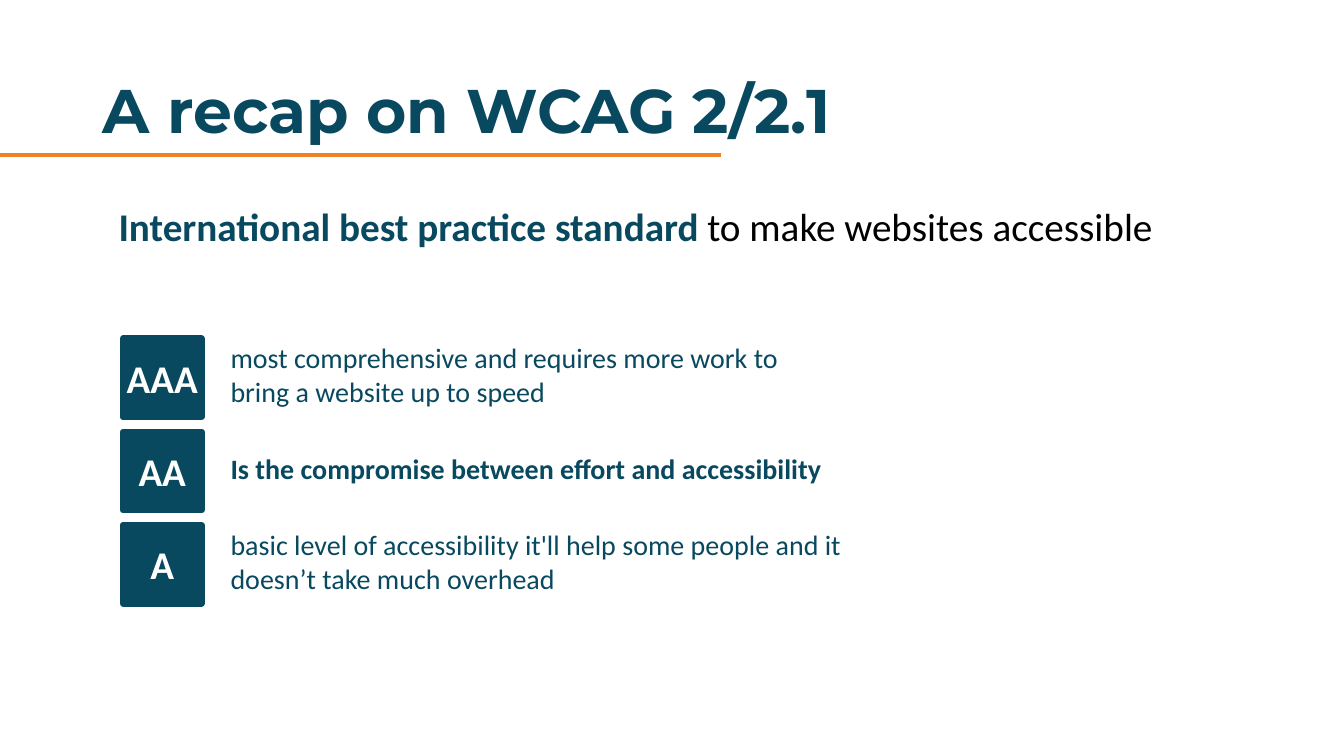
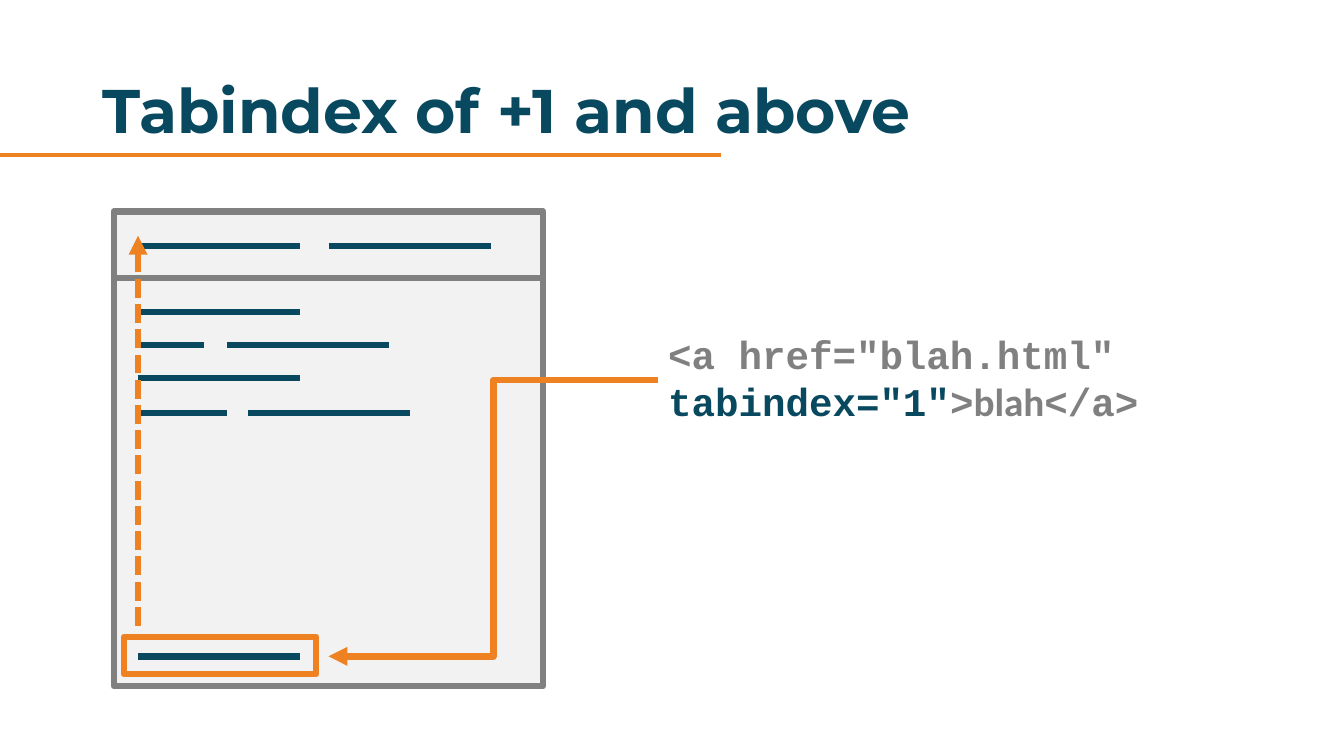
from lxml import etree
from pptx import Presentation
from pptx.dml.color import RGBColor
from pptx.enum.dml import MSO_LINE
from pptx.enum.shapes import MSO_CONNECTOR as Connector, MSO_SHAPE as Shape
from pptx.enum.text import MSO_ANCHOR as Anchor, PP_ALIGN as Align
from pptx.oxml.ns import qn
from pptx.util import Cm, Pt

COLORS = {
    "navy": "08495F",
    "orange": "EE8222",
    "gray": "808080",
    "pale": "F2F2F2",
    "white": "FFFFFF",
    "black": "000000",
}
TITLE_FONT, BODY_FONT, CODE_FONT = "Montserrat", "Calibri", "Courier New"
THICK = 4.5


def color(name):
    return RGBColor.from_string(COLORS[name])


def set_font(font, size=None, color_name=None, name=None, bold=None):
    if size:
        font.size = Pt(size)
    if color_name:
        font.color.rgb = color(color_name)
    if name:
        font.name = name
    if bold is not None:
        font.bold = bold


def add_text(slide, left, top, width, height, paragraphs, size, color_name="navy",
             name=BODY_FONT, bold=False, anchor=Anchor.TOP):
    """Each paragraph is a list of runs: (text, font settings that differ)."""
    box = slide.shapes.add_textbox(Cm(left), Cm(top), Cm(width), Cm(height))
    frame = box.text_frame
    frame.word_wrap = True
    frame.vertical_anchor = anchor
    for index, runs in enumerate(paragraphs):
        paragraph = frame.paragraphs[0] if index == 0 else frame.add_paragraph()
        set_font(paragraph.font, size, color_name, name, bold)
        for text, changes in runs:
            run = paragraph.add_run()
            run.text = text
            set_font(run.font, **changes)
    return frame


def add_box(slide, left, top, width, height, line, fill=None):
    shape = slide.shapes.add_shape(Shape.RECTANGLE, Cm(left), Cm(top), Cm(width), Cm(height))
    shape.shadow.inherit = False
    if fill:
        shape.fill.solid()
        shape.fill.fore_color.rgb = color(fill)
    else:
        shape.fill.background()
    shape.line.color.rgb = color(line)
    shape.line.width = Pt(THICK)
    return shape


def add_line(slide, start, end, color_name, width=THICK, kind=Connector.STRAIGHT,
             dash=None, arrow=False):
    line = slide.shapes.add_connector(kind, *map(Cm, start + end))
    line.line.color.rgb = color(color_name)
    line.line.width = Pt(width)
    if dash:
        line.line.dash_style = dash
    properties = line._element.spPr
    if arrow:
        etree.SubElement(properties.find(qn("a:ln")), qn("a:tailEnd"), type="triangle")
    etree.SubElement(properties, qn("a:effectLst"))


def add_titled_slide(presentation, title):
    slide = presentation.slides.add_slide(presentation.slide_layouts[6])
    frame = add_text(slide, 2.34, 1.02, 29.21, 3.68, [[(title, {})]], 44,
                     name=TITLE_FONT, bold=True, anchor=Anchor.MIDDLE)
    frame.paragraphs[0].line_spacing = 0.9
    add_line(slide, (0, 3.91), (18.16, 3.91), "orange", 3)
    return slide


def add_level(slide, top, label, description, bold):
    """A labelled square with its description beside it."""
    side = 1.98
    square = add_box(slide, 3.1, top, side, side, "navy", "navy")
    frame = square.text_frame
    frame.margin_left = frame.margin_right = 0
    frame.word_wrap = False
    frame.vertical_anchor = Anchor.MIDDLE
    paragraph = frame.paragraphs[0]
    paragraph.text = label
    paragraph.alignment = Align.CENTER
    set_font(paragraph.font, 28, "white", BODY_FONT, True)
    add_text(slide, 5.56, top - 0.08, 16.94, side, [[(text, {})] for text in description],
             20, bold=bold, anchor=Anchor.MIDDLE)


def build_recap(presentation):
    slide = add_titled_slide(presentation, "A recap on WCAG 2/2.1")
    frame = add_text(slide, 2.74, 5.11, 29.21, 2, [[
        ("International best practice standard ", {"color_name": "navy", "bold": True}),
        ("to make websites accessible", {}),
    ]], 28, "black")
    frame.paragraphs[0].line_spacing = 0.9
    frame.paragraphs[0].space_before = Pt(10)

    # Conformance levels
    levels = [
        ("AAA", ["most comprehensive and requires more work to",
                 "bring a website up to speed"], False),
        ("AA", ["Is the compromise between effort and accessibility"], True),
        ("A", ["basic level of accessibility it'll help some people and it "
               "doesn’t take much overhead"], False),
    ]
    for index, (label, description, bold) in enumerate(levels):
        add_level(slide, 8.53 + 2.35 * index, label, description, bold)


def build_tabindex(presentation):
    slide = add_titled_slide(presentation, "Tabindex of +1 and above")

    # Web page with its header
    page_left, page_width = 2.87, 10.82
    add_box(slide, page_left, 5.33, page_width, 11.96, "gray", "pale")
    add_line(slide, (page_left, 7.01), (page_left + page_width, 7.01), "gray")

    # Links on the page: height, then (left, length) of each
    margin, long = 3.48, 4.09
    link_rows = [
        (6.2, [(margin, long), (8.28, long)]),
        (7.87, [(margin, long)]),
        (8.69, [(margin, 1.65), (5.72, long)]),
        (9.53, [(margin, long)]),
        (10.41, [(margin, 2.24), (6.25, long)]),
        (16.54, [(margin, long)]),
    ]
    for y, links in link_rows:
        for left, length in links:
            add_line(slide, (left, y), (left + length, y), "navy")

    # Code sample
    add_text(slide, 16.59, 8.2, 16.79, 2.64, [[
        ('<a href="blah.html" ', {}),
        ('tabindex="1"', {"color_name": "navy"}),
        (">", {}),
        ("blah", {"name": BODY_FONT}),
        ("</a>", {}),
    ]], 28, "gray", CODE_FONT, True)

    # Last link takes focus first
    add_box(slide, 3.12, 16.05, 4.85, 0.94, "orange")
    add_line(slide, (16.59, 9.58), (8.28, 16.54), "orange", kind=Connector.ELBOW, arrow=True)
    add_line(slide, (margin, 15.77), (margin, 5.94), "orange",
             dash=MSO_LINE.SQUARE_DOT, arrow=True)


def main():
    presentation = Presentation()
    presentation.slide_width = Cm(33.87)
    presentation.slide_height = Cm(19.05)
    build_recap(presentation)
    build_tabindex(presentation)
    presentation.save("out.pptx")


if __name__ == "__main__":
    main()
